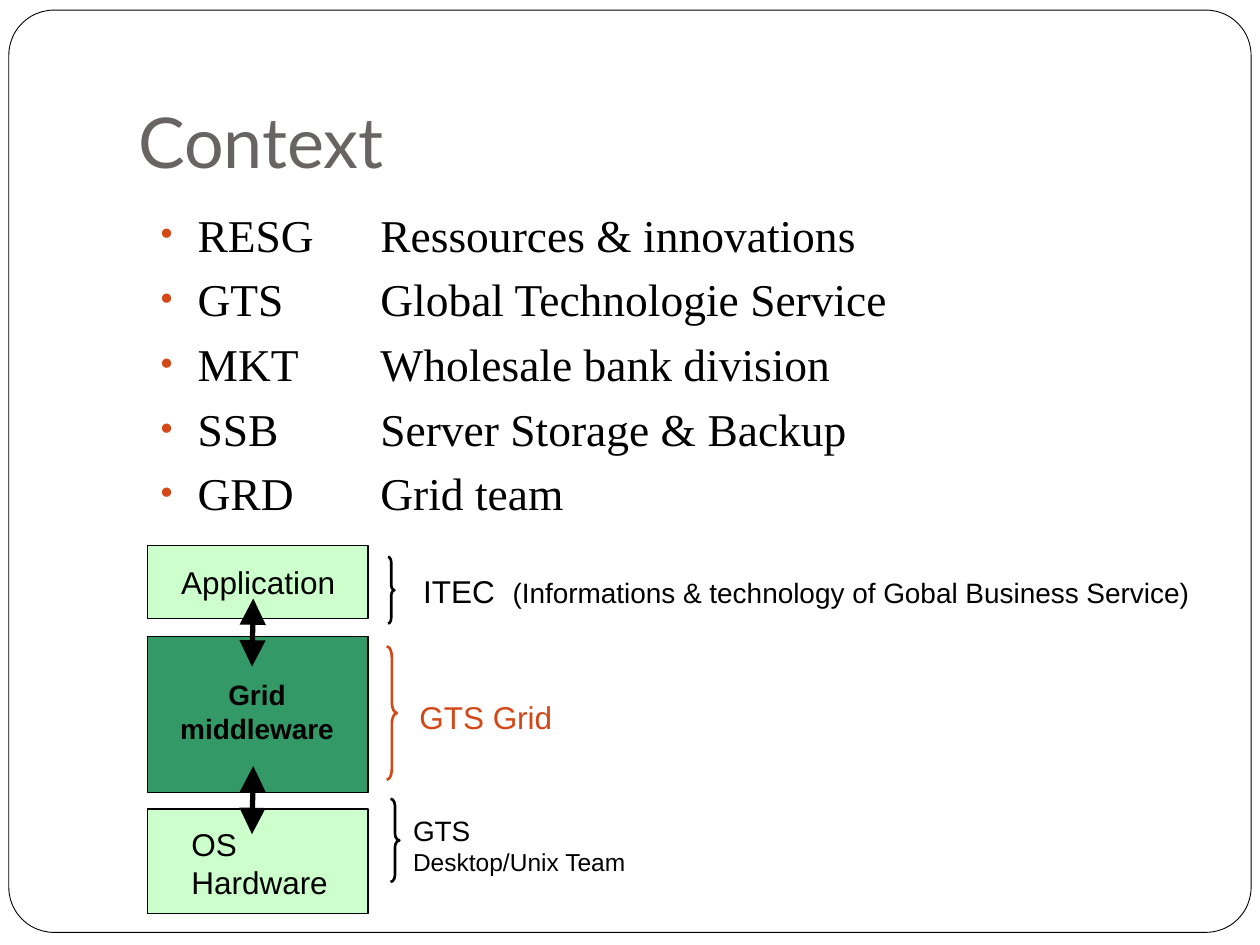
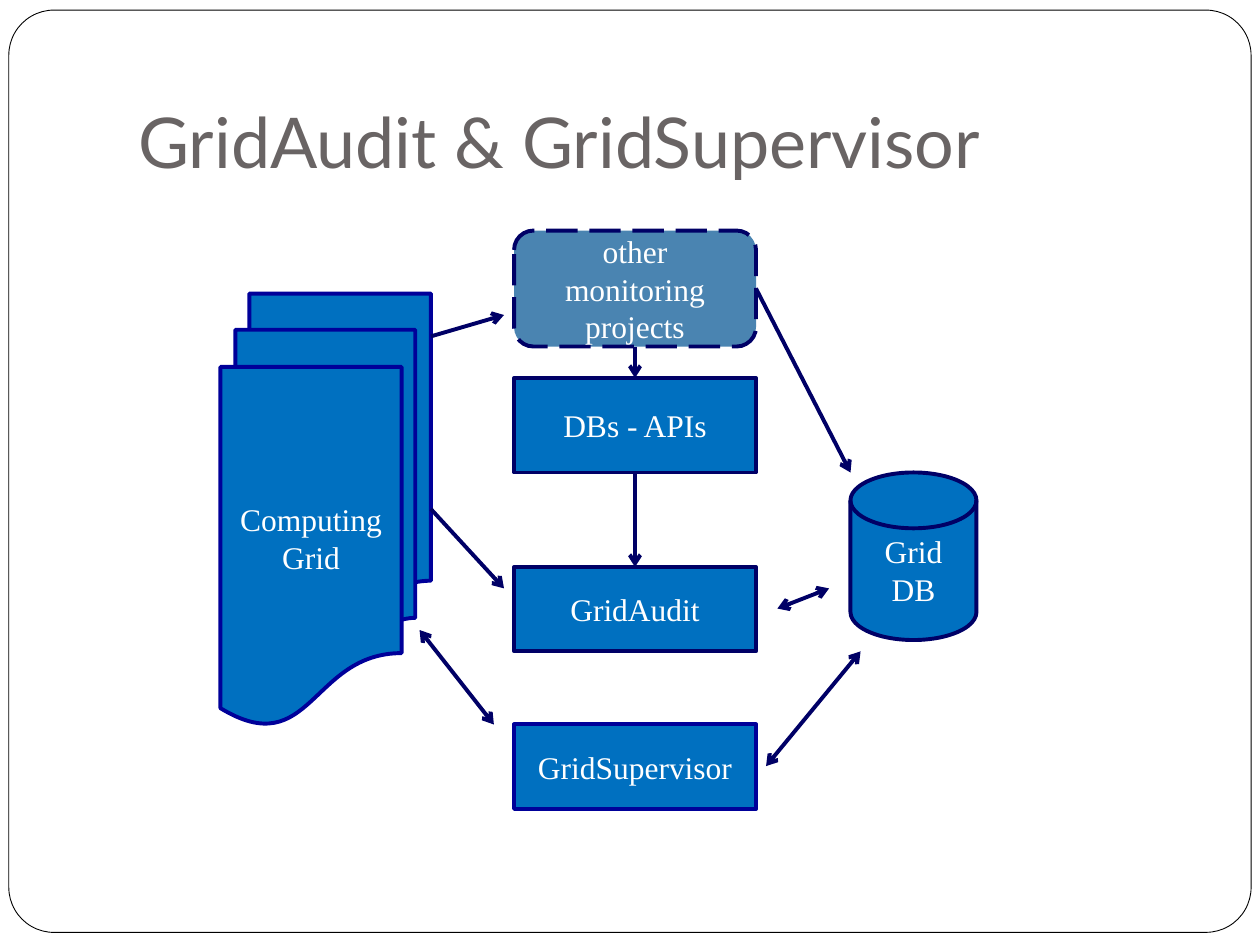
from pptx import Presentation
from pptx.dml.color import RGBColor
from pptx.enum.dml import MSO_LINE
from pptx.enum.shapes import MSO_CONNECTOR, MSO_SHAPE
from pptx.enum.text import MSO_ANCHOR, PP_ALIGN
from pptx.oxml.ns import qn
from pptx.util import Inches, Pt
from lxml.etree import SubElement

BLACK = RGBColor(0x00, 0x00, 0x00)
WHITE = RGBColor(0xFF, 0xFF, 0xFF)
GREY = RGBColor(0x69, 0x64, 0x64)
ORANGE = RGBColor(0xD3, 0x48, 0x17)
PALE_GREEN = RGBColor(0xCC, 0xFF, 0xCC)
GREEN = RGBColor(0x33, 0x99, 0x66)
BLUE = RGBColor(0x00, 0x70, 0xC0)
DEEP_BLUE = RGBColor(0x00, 0x53, 0x92)
NAVY = RGBColor(0x00, 0x00, 0x66)
INDIGO = RGBColor(0x00, 0x00, 0x99)

TITLE_FONT, SERIF, SANS = "Lato", "Times New Roman", "Arial"

TEAMS = [
    ("RESG", "Ressources & innovations"),
    ("GTS", "Global Technologie Service"),
    ("MKT", "Wholesale bank division"),
    ("SSB", "Server Storage & Backup"),
    ("GRD", "Grid team"),
]


def add_run(p, text, size, font=SANS, color=BLACK, bold=False):
    r = p.add_run()
    r.text = text
    r.font.name = font
    r.font.size = Pt(size)
    r.font.color.rgb = color
    r.font.bold = bold


def add_shape(s, kind, box, fill, line, width):
    sp = s.shapes.add_shape(kind, *map(Inches, box))
    sp.shadow.inherit = False
    if fill is None:
        sp.fill.background()
    else:
        sp.fill.solid()
        sp.fill.fore_color.rgb = fill
    sp.line.color.rgb = line
    sp.line.width = Pt(width)
    return sp


def add_text(s, box, lines, font=SANS, color=BLACK, bold=False,
             align=PP_ALIGN.LEFT, space=0):
    tf = s.shapes.add_textbox(*map(Inches, box)).text_frame
    tf.word_wrap = True
    for i, (text, size) in enumerate(lines):
        p = tf.paragraphs[0] if i == 0 else tf.add_paragraph()
        p.alignment = align
        if i and space:
            p.space_before = Pt(space)
        add_run(p, text, size, font, color, bold)
    return tf


def add_bullet(p):
    pPr = p._p.get_or_add_pPr()
    pPr.set("marL", str(Inches(0.3)))
    pPr.set("indent", str(Inches(-0.3)))
    SubElement(SubElement(pPr, qn("a:buClr")), qn("a:srgbClr"), val=str(ORANGE))
    SubElement(pPr, qn("a:buSzPct"), val="85000")
    SubElement(pPr, qn("a:buFont"), typeface=SERIF)
    SubElement(pPr, qn("a:buChar"), char="•")


def add_tab(p, position):
    tabs = SubElement(p._p.get_or_add_pPr(), qn("a:tabLst"))
    SubElement(tabs, qn("a:tab"), pos=str(Inches(position)), algn="l")


def add_brace(s, box, color):
    brace = add_shape(s, MSO_SHAPE.RIGHT_BRACE, box, None, color, 1.5)
    brace.adjustments[0] = box[3] / box[2] / 12


def add_arrow(s, start, end, color=NAVY, width=2.25, head="arrow", size="med", both=False):
    c = s.shapes.add_connector(MSO_CONNECTOR.STRAIGHT, *map(Inches, start + end))
    c.line.color.rgb = color
    c.line.width = Pt(width)
    spPr = c._element.spPr
    ln = spPr.find(qn("a:ln"))
    for tip in ("a:headEnd", "a:tailEnd") if both else ("a:tailEnd",):
        SubElement(ln, qn(tip), type=head, w=size, len=size)
    SubElement(spPr, qn("a:effectLst"))


def add_node(s, kind, box, text, fill=BLUE, line=NAVY):
    sp = add_shape(s, kind, box, fill, line, 2.25)
    tf = sp.text_frame
    tf.word_wrap = True
    tf.vertical_anchor = MSO_ANCHOR.MIDDLE
    p = tf.paragraphs[0]
    p.alignment = PP_ALIGN.CENTER
    add_run(p, text, 18, SERIF, WHITE)
    return sp


def add_slide(prs, title):
    s = prs.slides.add_slide(prs.slide_layouts[6])
    frame = add_shape(s, MSO_SHAPE.ROUNDED_RECTANGLE, (0.07, 0.08, 9.86, 7.32),
                      WHITE, BLACK, 0.5)
    frame.adjustments[0] = 0.049
    tf = add_text(s, (1, 0.3, 8.5, 1.25), [(title, 40)], TITLE_FONT, GREY)
    tf.vertical_anchor = MSO_ANCHOR.BOTTOM
    tf.margin_bottom = Inches(0.1)
    return s


def add_context_slide(prs):
    s = add_slide(prs, "Context")

    for column, (left, width) in enumerate([(1.17, 1.67), (2.92, 6.58)]):
        lines = [(team[column], 26) for team in TEAMS]
        tf = add_text(s, (left, 1.59, width, 2.66), lines, SERIF, space=5.8)
        if column == 0:
            for p in tf.paragraphs:
                add_bullet(p)

    for top, height, fill in [(4.33, 0.58, PALE_GREEN), (5.05, 1.24, GREEN),
                              (6.42, 0.83, PALE_GREEN)]:
        add_shape(s, MSO_SHAPE.RECTANGLE, (1.17, top, 1.75, height), fill, BLACK, 0.75)
    add_text(s, (1.34, 4.42, 1.5, 0.4), [("Application", 18)])
    add_text(s, (1.25, 5.33, 1.58, 0.64), [("Grid", 16), ("middleware", 16)],
             bold=True, align=PP_ALIGN.CENTER)
    add_text(s, (1.42, 6.5, 1.45, 0.7), [("OS", 18), ("Hardware", 18)])
    for top in (4.75, 6.08):
        add_arrow(s, (2, top + 0.54), (2.01, top), BLACK, 3, "triangle", "lg", both=True)

    add_brace(s, (3.08, 4.42, 0.05, 0.53), BLACK)
    add_brace(s, (3.07, 5.13, 0.08, 1.06), ORANGE)
    add_brace(s, (3.1, 6.34, 0.07, 0.66), BLACK)
    itec = add_text(s, (3.26, 4.49, 6.32, 0.4), [("ITEC", 18)]).paragraphs[0]
    add_tab(itec, 0.71)
    add_run(itec, "\t(Informations & technology of Gobal Business Service)", 16)
    add_text(s, (3.23, 5.49, 1.59, 0.4), [("GTS Grid", 18)], color=ORANGE)
    add_text(s, (3.18, 6.41, 2.1, 0.6), [("GTS", 16), ("Desktop/Unix Team", 14)])


def add_architecture_slide(prs):
    s = add_slide(prs, "GridAudit & GridSupervisor")

    add_node(s, MSO_SHAPE.FLOWCHART_MAGNETIC_DISK, (6.75, 3.75, 1, 1.33), "Grid DB")
    projects = add_node(s, MSO_SHAPE.FLOWCHART_ALTERNATE_PROCESS,
                        (4.08, 1.83, 1.92, 0.92), "other monitoring projects", DEEP_BLUE)
    projects.line.dash_style = MSO_LINE.LONG_DASH
    fill_color = projects._element.spPr.find(qn("a:solidFill")).find(qn("a:srgbClr"))
    SubElement(fill_color, qn("a:alpha"), val="71000")
    for text, top, height, line in [("DBs - APIs", 3, 0.75, NAVY),
                                    ("GridAudit", 4.5, 0.67, NAVY),
                                    ("GridSupervisor", 5.75, 0.67, INDIGO)]:
        add_node(s, MSO_SHAPE.FLOWCHART_PROCESS, (4.08, top, 1.92, height), text, line=line)
    add_node(s, MSO_SHAPE.FLOWCHART_MULTIDOCUMENT, (1.75, 2.33, 1.67, 3.42),
             "Computing Grid", line=INDIGO)

    for start, end in [((3.42, 2.67), (4, 2.5)), ((5.04, 2.75), (5.04, 3)),
                       ((6, 2.29), (6.75, 3.75)), ((3.42, 4.04), (4, 4.67)),
                       ((5.04, 3.75), (5.04, 4.5))]:
        add_arrow(s, start, end)
    for start, end in [((3.92, 5.75), (3.33, 5)), ((6.17, 4.83), (6.58, 4.67)),
                       ((6.08, 6.08), (6.83, 5.17))]:
        add_arrow(s, start, end, both=True)


def main():
    prs = Presentation()
    prs.slide_width = Inches(10)
    prs.slide_height = Inches(7.5)
    add_context_slide(prs)
    add_architecture_slide(prs)
    prs.save("out.pptx")


if __name__ == "__main__":
    main()
